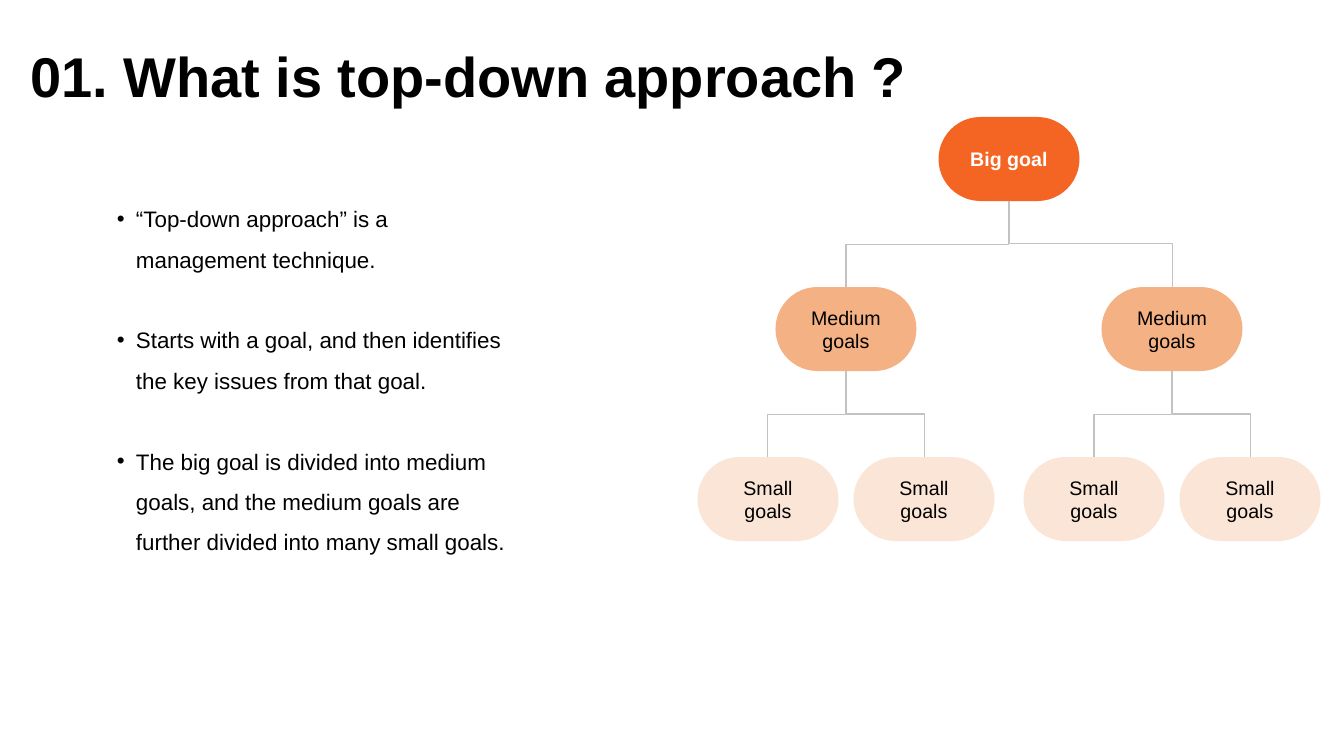
"""Build a slide that explains the top-down approach with a goal tree."""
from lxml import etree
from pptx import Presentation
from pptx.dml.color import RGBColor
from pptx.enum.shapes import MSO_CONNECTOR, MSO_SHAPE
from pptx.enum.text import MSO_ANCHOR, MSO_AUTO_SIZE, PP_ALIGN
from pptx.oxml.ns import qn
from pptx.util import Pt

ELBOW = MSO_CONNECTOR.ELBOW
PILL = MSO_SHAPE.ROUNDED_RECTANGLE
TOP, MIDDLE = MSO_ANCHOR.TOP, MSO_ANCHOR.MIDDLE
LEFT, CENTER = PP_ALIGN.LEFT, PP_ALIGN.CENTER
FIXED = MSO_AUTO_SIZE.NONE

BLACK = RGBColor(0x00, 0x00, 0x00)
WHITE = RGBColor(0xFF, 0xFF, 0xFF)
ORANGE = RGBColor(0xF4, 0x65, 0x24)
PEACH = RGBColor(0xF4, 0xB1, 0x83)
CREAM = RGBColor(0xFB, 0xE5, 0xD6)
GRAY = RGBColor(0xC2, 0xC2, 0xC2)

SCALE = 914400 / 100.8
PILL_W, PILL_H = 141, 84
TREE_TOP, ROW_STEP = 117, 170


def px(*sizes):
    return [round(size * SCALE) for size in sizes]


def write(frame, par, text, size, color, bold=False):
    frame.word_wrap = True
    frame.auto_size = FIXED
    frame.margin_left, frame.margin_top, frame.margin_right, frame.margin_bottom = px(10, 10, 10, 10)
    run = par.add_run()
    run.text = text
    run.font.name = "Arial"
    run.font.size = Pt(size)
    run.font.bold = bold
    run.font.color.rgb = color


deck = Presentation()
deck.slide_width, deck.slide_height = px(1344, 756)
slide = deck.slides.add_slide(deck.slide_layouts[5])

title = slide.shapes.title
title.left, title.top, title.width, title.height = px(20, 39, 990, 128)
frame = title.text_frame
frame.vertical_anchor = TOP
par = frame.paragraphs[0]
par.alignment = LEFT
par.line_spacing = 0.9
write(frame, par, "01. What is top-down approach ?", 40, BLACK, True)

points = [
    "“Top-down approach” is a management technique.",
    "Starts with a goal, and then identifies the key issues from that goal.",
    "The big goal is divided into medium goals, and the medium goals are "
    "further divided into many small goals.",
]
indent = px(19)[0]
frame = slide.shapes.add_textbox(*px(107, 182, 416, 378)).text_frame
for i, point in enumerate(points):
    par = frame.add_paragraph() if i else frame.paragraphs[0]
    par.line_spacing = 1.5
    par.space_before = Pt(29 if i else 0)
    write(frame, par, point, 16, BLACK)
    props = par._p.get_or_add_pPr()
    props.set("marL", str(indent))
    props.set("indent", str(-indent))
    etree.SubElement(props, qn("a:buFont")).set("typeface", "Arial")
    etree.SubElement(props, qn("a:buChar")).set("char", "•")

levels = [
    ("Big goal", ORANGE, WHITE, True, 0),
    ("Medium goals", PEACH, BLACK, False, 163),
    ("Small goals", CREAM, BLACK, False, 78),
]
tree = slide.shapes.add_group_shape().shapes
links = []
above = []
for row, (label, fill, ink, bold, spread) in enumerate(levels):
    spots = [(pill, mid + side * spread, side) for pill, mid in above for side in (-1, 1)]
    pills = []
    for parent, mid, side in spots or [(None, 1009, 0)]:
        pill = tree.add_shape(
            PILL, *px(mid - PILL_W / 2, TREE_TOP + row * ROW_STEP, PILL_W, PILL_H))
        pill.adjustments[0] = 0.5
        pill.shadow.inherit = False
        pill.fill.solid()
        pill.fill.fore_color.rgb = fill
        pill.line.fill.background()
        frame = pill.text_frame
        frame.vertical_anchor = MIDDLE
        par = frame.paragraphs[0]
        par.alignment = CENTER
        write(frame, par, label, 14, ink, bold)
        pills.append((pill, mid))
        if parent is not None:
            links.append((parent, pill, side))
    above = pills

for parent, child, side in links:
    start, end = (parent, child) if side > 0 else (child, parent)
    link = tree.add_connector(ELBOW, 0, 0, 0, 0)
    link.begin_connect(start, 2 if side > 0 else 0)
    link.end_connect(end, 0 if side > 0 else 2)
    wide, tall = link.width, link.height
    link.left += (wide - tall) // 2
    link.top += (tall - wide) // 2
    link.width, link.height = tall, wide
    props = link._element.spPr
    frame = props.find(qn("a:xfrm"))
    frame.set("rot", "16200000")
    frame.set("flipH", "1" if side > 0 else "0")
    frame.set("flipV", "0")
    link.line.color.rgb = GRAY
    link.line.width = Pt(0.75)
    etree.SubElement(props, qn("a:effectLst"))

deck.save("out.pptx")
